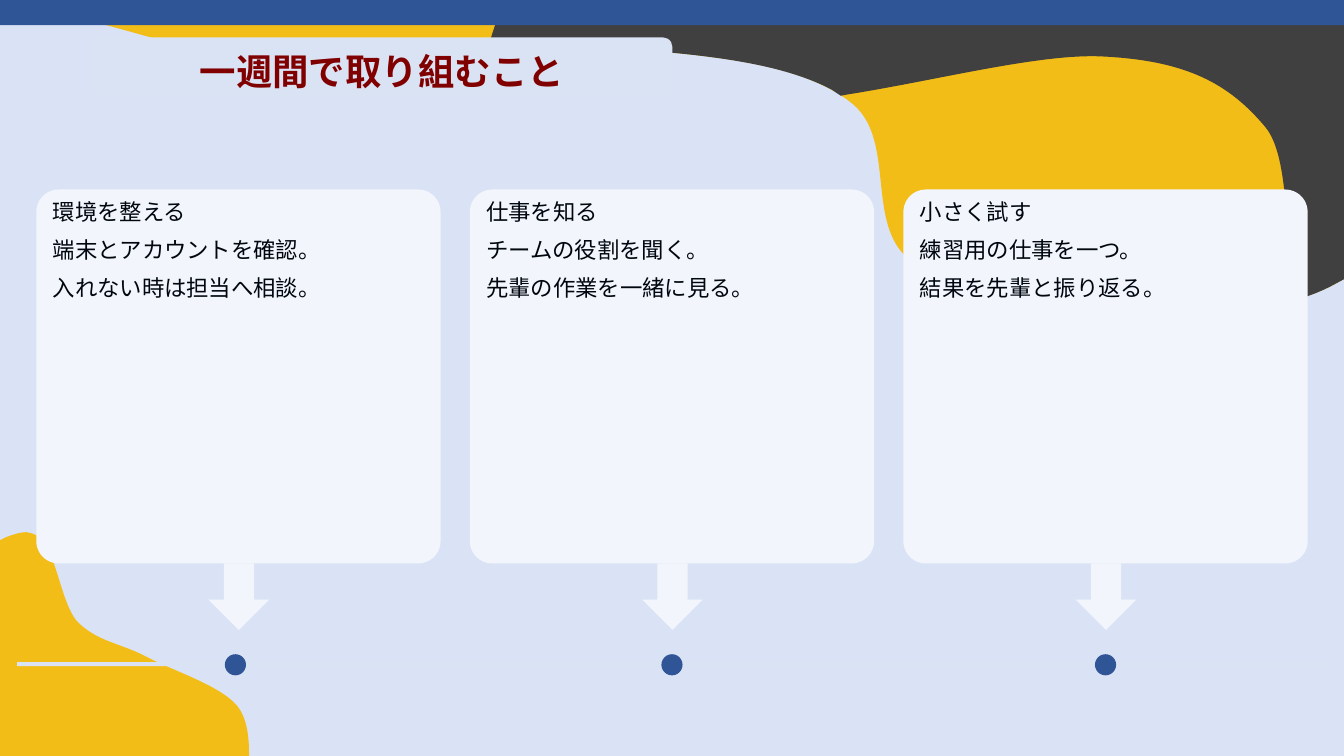
from dataclasses import dataclass

from lxml import etree
from pptx import Presentation
from pptx.dml.color import RGBColor
from pptx.enum.shapes import MSO_SHAPE
from pptx.enum.text import MSO_ANCHOR, PP_ALIGN
from pptx.oxml.ns import qn
from pptx.util import Inches, Pt

RECT, ROUNDED = MSO_SHAPE.RECTANGLE, MSO_SHAPE.ROUNDED_RECTANGLE
OVAL, DOWN_ARROW = MSO_SHAPE.OVAL, MSO_SHAPE.DOWN_ARROW
LEFT, CENTER = PP_ALIGN.LEFT, PP_ALIGN.CENTER
TOP, MIDDLE = MSO_ANCHOR.TOP, MSO_ANCHOR.MIDDLE

FONT = "Noto Sans CJK JP"
COLORS = {
    "background": "DAE3F5", "band": "DAE3F3", "blue": "2F5596",
    "yellow": "F3BD18", "dark": "404041", "card": "F2F5FB",
    "title": "800000", "text": "00070F",
}


@dataclass
class Blob:
    """Segments of two numbers are lines, segments of six are Bezier curves."""
    color: str
    start: tuple
    segments: list


@dataclass
class Card:
    lines: list
    dot_left: float


@dataclass
class TextStyle:
    size: int
    color: str
    bold: bool
    align: PP_ALIGN
    anchor: MSO_ANCHOR
    line_spacing: float
    wrap: bool


TITLE_STYLE = TextStyle(26, "title", True, CENTER, MIDDLE, 1.2, False)
CARD_STYLE = TextStyle(16, "text", False, LEFT, TOP, 0.9, True)

BLOBS = [
    Blob("yellow", (1.76, -0.81), [
        (4.96, -0.82, 11.18, -0.64, 13.15, -0.53), (13.33, -0.52),
        (13.33, 2.77), (13.2, 2.84),
        (12.52, 3.17, 11.44, 3.26, 10.82, 3.26),
        (10.05, 3.25, 9.38, 2.91, 8.98, 2.54),
        (8.59, 2.16, 8.89, 1.35, 8.43, 1.01),
        (7.98, 0.66, 7.2, 0.56, 6.27, 0.49),
        (5.34, 0.42, 3.79, 0.66, 2.85, 0.61),
        (1.91, 0.55, 1.49, 0.34, 0.65, 0.15),
        (0, 0.03), (0, -0.76), (0.16, -0.77),
        (0.3, -0.78, 0.44, -0.79, 0.6, -0.79),
        (0.91, -0.8, 1.31, -0.81, 1.76, -0.81),
    ]),
    Blob("dark", (5.66, -0.75), [
        (6.25, -0.74), (9.03, -0.68, 11.92, -0.58, 13.15, -0.51),
        (13.33, -0.5), (13.33, 2.72), (13.33, 2.77), (13.2, 2.84),
        (13.12, 2.88, 13.03, 2.92, 12.93, 2.95),
        (12.86, 2.97), (12.83, 2.87),
        (12.74, 2.41, 12.8, 1.56, 12.55, 1.26),
        (12.19, 0.83, 11.77, 0.6, 10.93, 0.56),
        (10.31, 0.53, 9.28, 0.8, 8.39, 0.94),
        (8.34, 0.95), (8.25, 0.89),
        (7.78, 0.64, 7.08, 0.55, 6.27, 0.49),
        (5.92, 0.46, 5.48, 0.48, 5.02, 0.51),
        (4.83, 0.53), (4.86, 0.41),
        (4.96, 0.06, 5.17, -0.4, 5.51, -0.65),
    ]),
    Blob("yellow", (0.26, 5.28), [
        (0.28, 5.28, 0.29, 5.28, 0.31, 5.29),
        (0.56, 5.35, 0.58, 5.96, 0.77, 6.17),
        (0.97, 6.37, 1.2, 6.38, 1.46, 6.52),
        (1.73, 6.66, 2.18, 6.8, 2.35, 7),
        (2.45, 7.12, 2.47, 7.31, 2.47, 7.47),
        (2.47, 7.52), (0, 7.52), (0, 5.36), (0.06, 5.33),
        (0.14, 5.3, 0.2, 5.28, 0.26, 5.28),
    ]),
]

CARDS = [
    Card(["環境を整える", "端末とアカウントを確認。", "入れない時は担当へ相談。"], 2.23),
    Card(["仕事を知る", "チームの役割を聞く。", "先輩の作業を一緒に見る。"], 6.56),
    Card(["小さく試す", "練習用の仕事を一つ。", "結果を先輩と振り返る。"], 10.86),
]
CARD_LEFT, CARD_TOP, CARD_PITCH = 0.36, 1.88, 4.3
CARD_WIDTH, CARD_HEIGHT = 4.01, 3.71
ARROW_OFFSET = 1.71
TITLE_BOX = (0.91, 0.37, 5.76, 0.58)


def rgb(name: str) -> RGBColor:
    return RGBColor.from_string(COLORS[name])


def paint(sp, color: str) -> None:
    sp.shadow.inherit = False
    sp.fill.solid()
    sp.fill.fore_color.rgb = rgb(color)
    sp.line.fill.background()


def add_shape(slide, kind: MSO_SHAPE, box: tuple, color: str):
    sp = slide.shapes.add_shape(kind, *map(Inches, box))
    paint(sp, color)
    return sp


def add_blob(slide, blob: Blob) -> None:
    builder = slide.shapes.build_freeform(*map(Inches, blob.start))
    ends = [tuple(map(Inches, segment[-2:])) for segment in blob.segments]
    builder.add_line_segments(ends, close=True)
    sp = builder.convert_to_shape()
    paint(sp, blob.color)
    # Bend the curved segments
    edges = list(sp._element.iter(qn("a:lnTo")))
    for edge, segment in zip(edges, blob.segments):
        if len(segment) == 2:
            continue
        curve = etree.Element(qn("a:cubicBezTo"))
        for x, y in zip(segment[::2], segment[1::2]):
            etree.SubElement(curve, qn("a:pt"), x=str(Inches(x) - sp.left),
                             y=str(Inches(y) - sp.top))
        edge.getparent().replace(edge, curve)


def write(sp, lines: list, style: TextStyle) -> None:
    tf = sp.text_frame
    tf.word_wrap = style.wrap
    tf.vertical_anchor = style.anchor
    font_format = {"name": FONT, "size": Pt(style.size), "bold": style.bold}
    for i, line in enumerate(lines):
        p = tf.add_paragraph() if i else tf.paragraphs[0]
        p.alignment = style.align
        p.line_spacing = style.line_spacing
        p.space_before = Pt(10 if i else 0)
        r = p.add_run()
        r.text = line
        for key, value in font_format.items():
            setattr(r.font, key, value)
        r.font.color.rgb = rgb(style.color)
        # East Asian typeface
        latin = r.font._element.find(qn("a:latin"))
        latin.addnext(etree.Element(qn("a:ea"), typeface=FONT))


def add_card(slide, card: Card, left: float) -> None:
    bottom = CARD_TOP + CARD_HEIGHT
    add_shape(slide, DOWN_ARROW, (left + ARROW_OFFSET, bottom, 0.6, 0.66), "card")
    add_shape(slide, OVAL, (card.dot_left, 6.49, 0.21, 0.21), "blue")
    sp = add_shape(slide, ROUNDED, (left, CARD_TOP, CARD_WIDTH, CARD_HEIGHT), "card")
    sp.adjustments[0] = 0.06
    write(sp, card.lines, CARD_STYLE)


def main() -> None:
    prs = Presentation()
    prs.slide_width, prs.slide_height = Inches(13.33), Inches(7.5)
    slide = prs.slides.add_slide(prs.slide_layouts[6])
    slide.background.fill.solid()
    slide.background.fill.fore_color.rgb = rgb("background")

    # Backdrop
    for blob in BLOBS:
        add_blob(slide, blob)
    add_shape(slide, RECT, (0, 0, 13.33, 0.25), "blue")

    # Title
    add_shape(slide, ROUNDED, TITLE_BOX, "band")
    title = slide.shapes.add_textbox(*map(Inches, TITLE_BOX))
    write(title, ["一週間で取り組むこと"], TITLE_STYLE)

    # Timeline and cards
    add_shape(slide, RECT, (0.17, 6.57, 13, 0.04), "band")
    for i, card in enumerate(CARDS):
        add_card(slide, card, CARD_LEFT + i * CARD_PITCH)

    prs.save("out.pptx")


if __name__ == "__main__":
    main()
